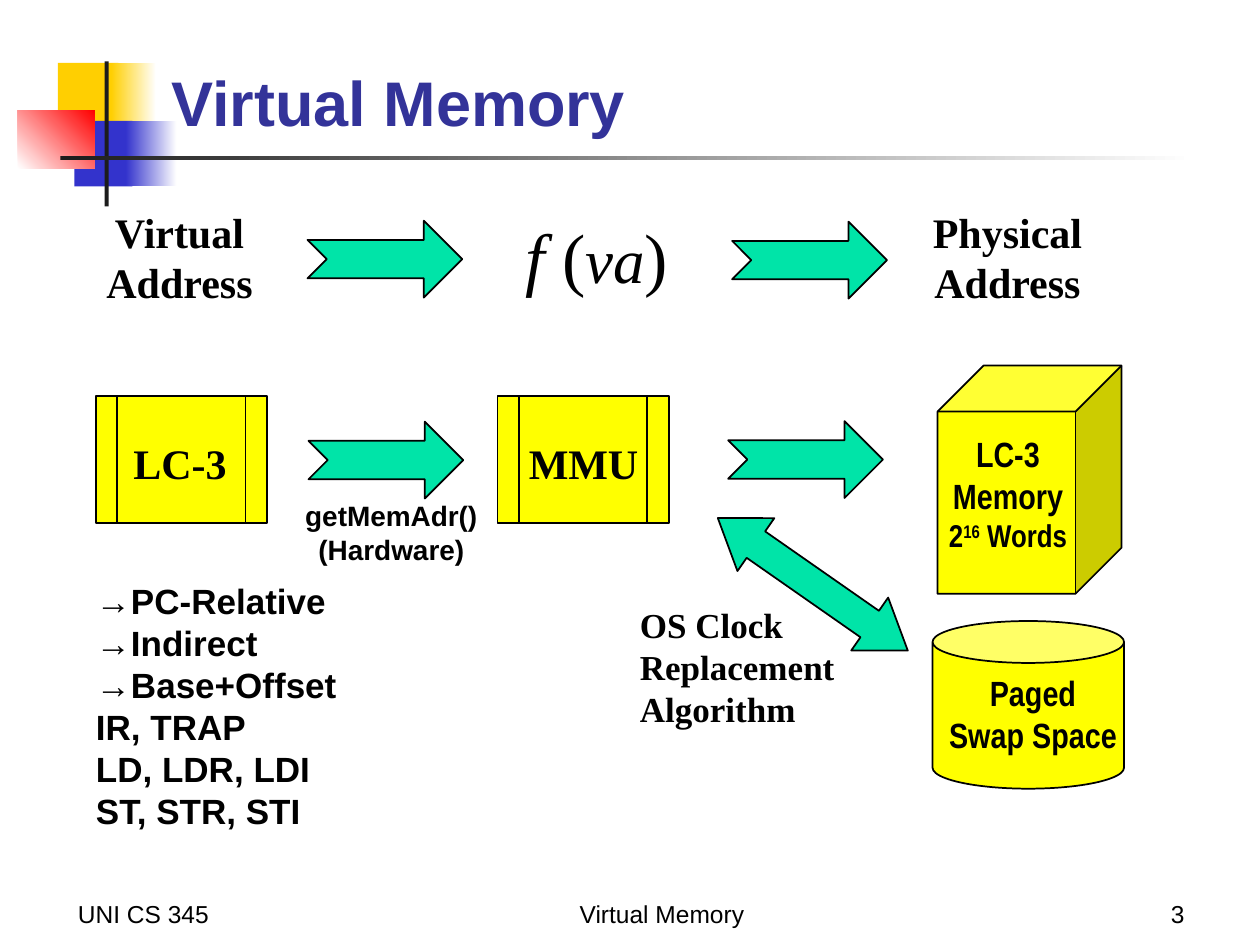
from dataclasses import dataclass

from lxml.etree import SubElement
from pptx import Presentation
from pptx.dml.color import RGBColor
from pptx.enum.shapes import MSO_SHAPE
from pptx.enum.text import MSO_ANCHOR, MSO_AUTO_SIZE, PP_ALIGN
from pptx.oxml.ns import qn
from pptx.util import Cm, Pt


@dataclass(frozen=True)
class Theme:
    """Hold the colours, fonts and type sizes of the slide."""

    ink: str = "000000"
    title: str = "333399"
    gold: str = "FFCF01"
    blue: str = "3333CC"
    red: str = "FF0000"
    rule: str = "1C1C1C"
    white: str = "FFFFFF"
    block: str = "FFFF00"
    arrow: str = "00E4A8"
    sans: str = "Arial"
    narrow: str = "Arial Narrow"
    serif: str = "Times New Roman"
    title_size: int = 36
    formula_size: int = 40
    label_size: int = 24
    text_size: int = 20
    words_size: int = 18
    call_size: int = 16
    footer_size: int = 14


THEME = Theme()


def place(shape, left, top, width, height):
    """Set the position and size of a shape in centimetres."""
    shape.left, shape.top = Cm(left), Cm(top)
    shape.width, shape.height = Cm(width), Cm(height)


def add_span(para, text, font, size, color=THEME.ink, bold=True, italic=False, raised=False):
    """Add one formatted run to a paragraph."""
    span = para.add_run()
    span.text = text
    span.font.name, span.font.size = font, Pt(size)
    span.font.bold, span.font.italic = bold, italic
    span.font.color.rgb = RGBColor.from_string(color)
    if raised:
        span.font._element.set("baseline", "30000")


def write(shape, lines, align=PP_ALIGN.LEFT, anchor=MSO_ANCHOR.TOP, **style):
    """Write lines, each a string or a list of (text, changes), into a shape."""
    frame = shape.text_frame
    frame.word_wrap = True
    frame.auto_size = MSO_AUTO_SIZE.NONE
    frame.vertical_anchor = anchor
    for index, line in enumerate(lines):
        para = frame.add_paragraph() if index else frame.paragraphs[0]
        para.alignment = align
        para.space_before = Pt(0)
        for text, changes in [(line, {})] if isinstance(line, str) else line:
            add_span(para, text, **{**style, **changes})


def add_text(page, spot, lines, **style):
    """Add a text box."""
    write(page.shapes.add_textbox(*map(Cm, spot)), lines, **style)


def fill_placeholder(page, index, spot, lines, **style):
    """Bring a placeholder to the front, place it and write unbulleted text."""
    box = page.placeholders[index]
    page.shapes._spTree.append(box._element)
    place(box, *spot)
    write(box, lines, **style)
    for para in box.text_frame.paragraphs:
        properties = para._p.get_or_add_pPr()
        properties.set("marL", "0")
        properties.set("indent", "0")
        SubElement(properties, qn("a:buNone"))


def add_block(page, kind, spot, fill, adjustments=(), rotation=0):
    """Add an outlined shape with a solid fill."""
    shape = page.shapes.add_shape(kind, *map(Cm, spot))
    shape.shadow.inherit = False
    shape.fill.solid()
    shape.fill.fore_color.rgb = RGBColor.from_string(fill)
    shape.line.color.rgb = RGBColor.from_string(THEME.ink)
    shape.line.width = Pt(1)
    shape.rotation = rotation
    for index, value in enumerate(adjustments):
        shape.adjustments[index] = value
    return shape


def add_patch(page, spot, start, end=None, angle=0):
    """Add a borderless rectangle, fading when an end colour is given."""
    patch = add_block(page, MSO_SHAPE.RECTANGLE, spot, start)
    patch.line.fill.background()
    if end:
        patch.fill.gradient()
        patch.fill.gradient_angle = angle
        for stop, color in zip(patch.fill.gradient_stops, (start, end)):
            stop.color.rgb = RGBColor.from_string(color)


def add_decoration(page):
    """Draw the coloured squares and the crossing rules behind the title."""
    add_patch(page, (1.17, 1.27, 1.22, 1.32), THEME.gold)
    add_patch(page, (2.24, 1.27, 0.91, 1.32), THEME.gold, THEME.white)
    add_patch(page, (1.5, 2.44, 1.17, 1.32), THEME.blue)
    add_patch(page, (2.54, 2.44, 1.02, 1.32), THEME.blue, THEME.white)
    add_patch(page, (0.36, 2.22, 1.55, 1.17), THEME.white, THEME.red, angle=45)
    add_patch(page, (2.11, 1.24, 0.08, 2.92), THEME.rule)
    add_patch(page, (1.22, 3.15, 22.86, 0.08), THEME.rule, THEME.white)


def add_footers(page):
    """Write the three footer texts."""
    footers = [
        ("UNI CS 345", 1.32, 5.28, PP_ALIGN.LEFT),
        ("Virtual Memory", 9.32, 8.05, PP_ALIGN.CENTER),
        ("3", 18.85, 5.28, PP_ALIGN.RIGHT),
    ]
    for text, left, width, align in footers:
        add_text(page, (left, 17.58, width, 1.27), [text], align=align,
                 anchor=MSO_ANCHOR.BOTTOM, font=THEME.sans,
                 size=THEME.footer_size, bold=False)


def add_mapping(page):
    """Draw the virtual to physical address mapping and the flow arrows."""
    for left, word in ((1.65, "Virtual"), (18.34, "Physical")):
        add_text(page, (left, 4.04, 3.94, 2.29), [word, "Address"],
                 align=PP_ALIGN.CENTER, font=THEME.serif, size=THEME.label_size)
    formula = [("f", {"italic": True}), (" (", {}),
               ("va", {"italic": True, "size": THEME.title_size}), (")", {})]
    add_text(page, (10.34, 4.17, 3.94, 1.96), [formula], font=THEME.serif,
             size=THEME.formula_size, bold=False)
    for left, top in ((6.2, 4.45), (14.76, 4.47), (6.22, 8.5), (14.68, 8.49)):
        add_block(page, MSO_SHAPE.NOTCHED_RIGHT_ARROW, (left, top, 3.12, 1.55),
                  THEME.arrow, (0.5, 0.5))


def add_processors(page):
    """Draw the processor and memory unit with the call between them."""
    for name, left, text_left in (("LC-3", 1.93, 2.44), ("MMU", 10.03, 10.41)):
        add_block(page, MSO_SHAPE.FLOWCHART_PREDEFINED_PROCESS,
                  (left, 7.98, 3.45, 2.57), THEME.block)
        add_text(page, (text_left, 8.69, 3.1, 1.27), [name],
                 font=THEME.serif, size=THEME.label_size)
    add_text(page, (5.77, 9.93, 4.24, 1.63), ["getMemAdr()", "(Hardware)"],
             align=PP_ALIGN.CENTER, font=THEME.sans, size=THEME.call_size)


def add_storage(page):
    """Draw the memory, the swap space and the replacement arrow."""
    style = {"align": PP_ALIGN.CENTER, "font": THEME.narrow, "size": THEME.text_size}
    small = {"size": THEME.words_size}
    words = [("2", small), ("16", {**small, "raised": True}), (" Words", small)]
    add_block(page, MSO_SHAPE.CUBE, (18.9, 7.37, 3.71, 4.6), THEME.block, (0.25,))
    add_text(page, (18.77, 8.59, 3.1, 2.72), ["LC-3", "Memory", words], **style)
    add_text(page, (12.65, 12.04, 4.5, 2.79), ["OS Clock", "Replacement Algorithm"],
             font=THEME.serif, size=THEME.text_size)
    add_block(page, MSO_SHAPE.CAN, (18.8, 12.52, 3.86, 3.38), THEME.block, (0.25,))
    add_text(page, (18.82, 13.41, 4.01, 1.96), ["Paged", "Swap Space"], **style)
    add_block(page, MSO_SHAPE.LEFT_RIGHT_ARROW, (14.05, 11.13, 4.67, 1.3),
              THEME.arrow, (0.5, 0.72), rotation=34.9)


def main():
    """Build the slide and save it."""
    deck = Presentation()
    deck.slide_width, deck.slide_height = Cm(25.4), Cm(19.05)
    page = deck.slides.add_slide(deck.slide_layouts[1])
    add_decoration(page)
    add_footers(page)
    fill_placeholder(page, 0, (3.2, 0.53, 21.64, 2.41), ["Virtual Memory"],
                     anchor=MSO_ANCHOR.BOTTOM, font=THEME.sans,
                     size=THEME.title_size, color=THEME.title)
    add_mapping(page)
    add_processors(page)
    fill_placeholder(page, 1, (1.68, 11.56, 5.84, 5.33),
                     ["→PC-Relative", "→Indirect", "→Base+Offset",
                      "IR, TRAP", "LD, LDR, LDI", "ST, STR, STI"],
                     font=THEME.sans, size=THEME.text_size)
    add_storage(page)
    deck.save("out.pptx")


if __name__ == "__main__":
    main()
